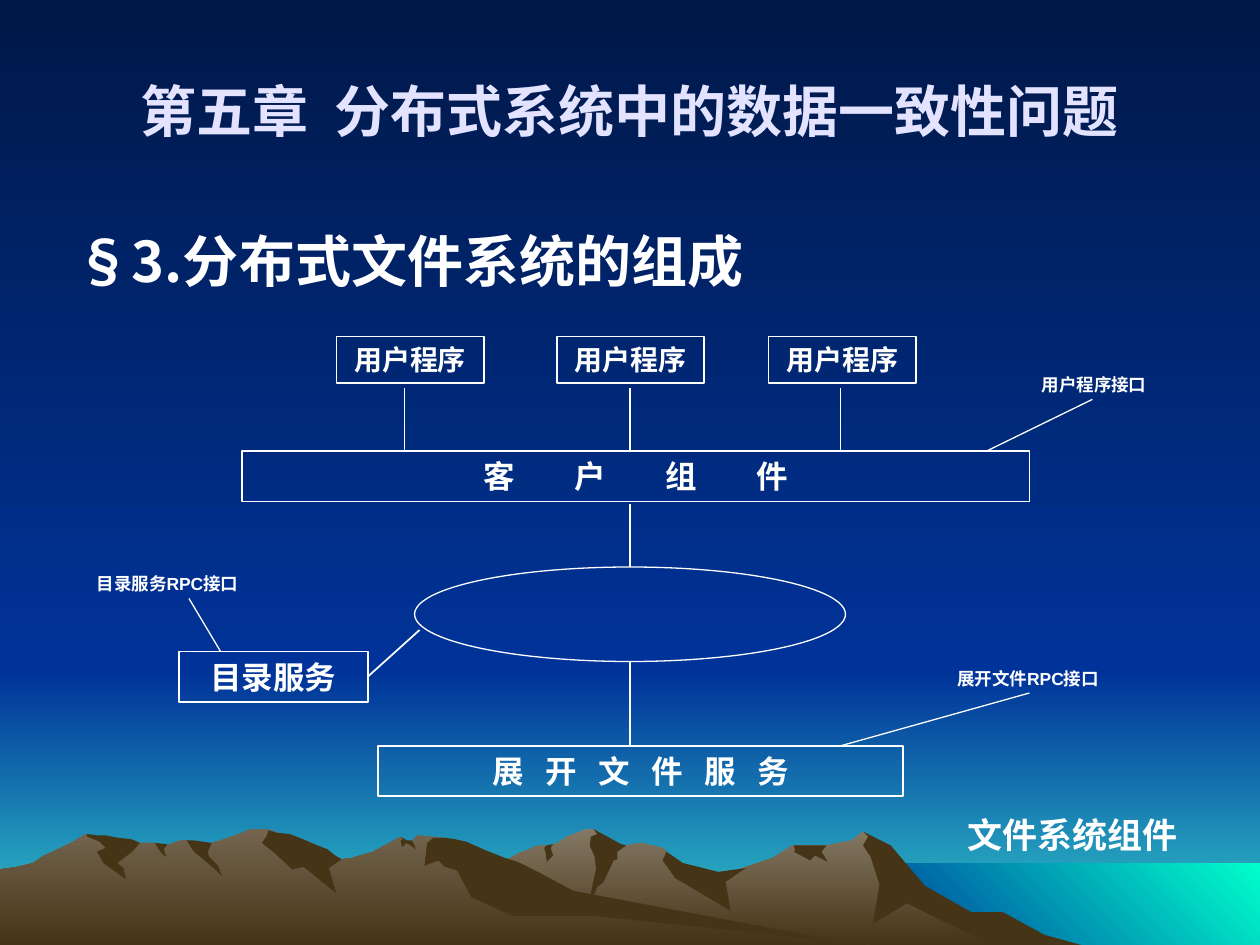
from lxml import etree
from pptx import Presentation
from pptx.dml.color import RGBColor
from pptx.enum.shapes import MSO_CONNECTOR, MSO_SHAPE
from pptx.enum.text import MSO_ANCHOR, PP_ALIGN
from pptx.oxml.ns import qn
from pptx.util import Inches, Pt

HEADING_FONT = "Noto Sans CJK SC"
LABEL_FONT = "Arial"
WHITE, TITLE_COLOUR = "FFFFFF", "E3E3FF"
NIGHT, BLUE, TEAL, GREEN = "001847", "003399", "33CCCC", "00FFCC"
ROCK_LIGHT, ROCK_MID, ROCK_DARK = "847864", "73654F", "463416"

# Outlines in hundredths of an inch: x y x y ...
RIGHT_RANGE = """802 740 778 727 764 723 723 698 702 671 685 660 676 667 656 671 629 671
    613 681 566 697 536 690 529 676 526 673 509 669 497 671 486 673 474 661 471 658 465 658
    450 664 444 668 438 671 430 671 424 672 418 675 412 677 405 681 399 683 394 685 355 698
    327 709 277 739 258 750 820 750"""
LEFT_RANGE = """690 750 667 748 432 712 354 665 331 663 327 668 323 668 318 664 296 676
    279 681 271 682 260 676 236 681 223 663 219 660 212 658 198 658 194 660 189 662 178 666
    168 669 160 671 148 667 143 667 132 671 128 671 123 669 111 669 94 671 68 662 56 669
    46 674 35 679 26 685 14 688 0 690 0 750"""
RIGHT_SHADOWS = [
    """796 724 771 724 734 703 707 671 685 660 689 664 685 671 691 680 698 702 693 733
    720 717 787 750 858 750 829 742""",
    """471 658 474 662 469 664 468 671 472 680 473 690 465 727 474 704 479 700 487 683
    490 682 490 676 497 671 493 670""",
    "529 676 526 683 536 697 580 723 576 700 592 689 570 692 542 685",
    "650 671 630 671 631 675 630 676 643 683 647 679 657 684 652 676 656 671",
    "433 677 432 673 434 671 439 670 437 673 439 679 434 684",
]
LEFT_SHADOWS = [
    """212 663 208 669 219 678 232 690 241 688 267 709 261 689 271 682 266 679 260 674
    252 671 238 665 230 662 220 661 213 659""",
    """370 668 361 666 354 665 344 665 339 669 337 687 348 683 353 688 363 691 374 712
    407 727 472 727 690 750 683 750 455 707 427 692 411 684 401 681 386 675""",
    """318 667 320 666 318 664 323 667 327 667 329 671 330 674 326 671 322 669 321 671
    319 672""",
    "154 667 161 668 168 669 165 676 166 680 173 687 176 695 165 685 154 676 148 667",
    "133 670 130 674 132 680 129 678 126 674 123 669",
    """109 668 111 669 105 676 93 685 98 689 100 698 82 685 77 676 84 673 79 668 69 664
    69 662 77 663 84 663 94 665 104 666""",
]


def colour(code):
    return RGBColor.from_string(code)


def paint(fill, colours, angle=270):
    """One colour gives a solid fill, two give a gradient."""
    if len(colours) == 1:
        fill.solid()
        fill.fore_color.rgb = colour(colours[0])
        return
    fill.gradient()
    fill.gradient_angle = angle
    for stop, code in zip(fill.gradient_stops, colours):
        stop.color.rgb = colour(code)


def place(shape, box):
    shape.left, shape.top, shape.width, shape.height = (Inches(side) for side in box)


def add_outline(slide, outline, colours, angle=270):
    numbers = [Inches(int(number) / 100) for number in outline.split()]
    points = list(zip(numbers[::2], numbers[1::2]))
    builder = slide.shapes.build_freeform(*points[0], scale=1.0)
    builder.add_line_segments(points[1:], close=True)
    shape = builder.convert_to_shape()
    paint(shape.fill, colours, angle)
    shape.line.fill.background()
    shape.shadow.inherit = False


def add_area(slide, box, colours, angle=270):
    left, top, right, bottom = box
    corners = (left, top, right, top, right, bottom, left, bottom)
    add_outline(slide, " ".join(str(number) for number in corners), colours, angle)


def write(shape, pieces, size, font, code=WHITE, align=PP_ALIGN.LEFT):
    """Pieces are (text, extra letter spacing in points)."""
    para = shape.text_frame.paragraphs[0]
    para.alignment = align
    para.space_before = Pt(0)
    for text, gap in pieces:
        span = para.add_run()
        span.text = text
        span.font.size, span.font.bold, span.font.name = Pt(size), True, font
        span.font.color.rgb = colour(code)
        properties = span.font._element
        if gap:
            properties.set("spc", str(round(gap * 100)))
        east_asian = etree.Element(qn("a:ea"), typeface=HEADING_FONT)
        properties.find(qn("a:latin")).addnext(east_asian)
    return para


def add_scenery(slide):
    # Sky, horizon and water
    paint(slide.background.fill, (NIGHT, BLUE))
    add_area(slide, (0, 533, 1000, 750), (BLUE, TEAL))
    add_area(slide, (0, 0, 1000, 533), (NIGHT, BLUE))
    add_area(slide, (683, 685, 1000, 750), (BLUE, GREEN), angle=45)
    # Mountains
    for ridge, light, shadows in ((RIGHT_RANGE, ROCK_LIGHT, RIGHT_SHADOWS),
                                  (LEFT_RANGE, ROCK_MID, LEFT_SHADOWS)):
        add_outline(slide, ridge, (light, ROCK_DARK))
        for shadow in shadows:
            add_outline(slide, shadow, (ROCK_DARK,))


def add_headings(slide, title_box, body_box):
    title, body = slide.shapes.title, slide.placeholders[1]
    for holder, box in ((title, title_box), (body, body_box)):
        place(holder, box)
        holder.element.getparent().append(holder.element)  # in front of the scenery
    title.text_frame.vertical_anchor = MSO_ANCHOR.MIDDLE
    write(title, [("第五章", 0), (" ", 7), ("分布式系统中的数据一致性问题", 0)],
          32, HEADING_FONT, TITLE_COLOUR, PP_ALIGN.CENTER)
    para = write(body, [("§3.分布式文件系统的组成", 0)], 32, HEADING_FONT)
    properties = para._p.get_or_add_pPr()
    properties.set("marL", str(Inches(0.38)))
    properties.set("indent", str(Inches(-0.38)))
    etree.SubElement(properties, qn("a:buNone"))


def add_node(slide, box, text="", size=18, gap=0, kind=MSO_SHAPE.RECTANGLE, weight=1):
    node = slide.shapes.add_shape(kind, *(Inches(side) for side in box))
    node.shadow.inherit = False
    node.fill.background()
    node.line.color.rgb = colour(WHITE)
    node.line.width = Pt(weight)
    node.text_frame.vertical_anchor = MSO_ANCHOR.MIDDLE
    if text:
        pieces = [(text[:-1], gap), (text[-1], 0)] if gap else [(text, 0)]
        write(node, pieces, size, LABEL_FONT, align=PP_ALIGN.CENTER)
    return node


def add_label(slide, box, text, size=10):
    label = slide.shapes.add_textbox(*(Inches(side) for side in box))
    label.text_frame.word_wrap = True
    label.text_frame.vertical_anchor = MSO_ANCHOR.MIDDLE
    write(label, [(text, 0)], size, LABEL_FONT)


def add_link(slide, ends, weight=0.75):
    link = slide.shapes.add_connector(MSO_CONNECTOR.STRAIGHT, *(Inches(end) for end in ends))
    link.line.color.rgb = colour(WHITE)
    link.line.width = Pt(weight)
    etree.SubElement(link._element.spPr, qn("a:effectLst"))
    return link


def add_diagram(slide, box):
    left, top, width, height = box
    right = left + width

    # User programs and their links to the client component
    for node_left, link_x in ((2.67, 3.21), (4.42, 5), (6.1, 6.67)):
        add_node(slide, (node_left, top, 1.17, 0.37), "用户程序", size=16)
        add_link(slide, (link_x, top + 0.41, link_x, top + 0.91))

    # Components and the network between them
    add_node(slide, (left + 1.25, top + 0.91, 6.25, 0.4), "客户组件", gap=34)
    add_node(slide, (3.29, top + 1.83, 3.42, 0.75), kind=MSO_SHAPE.OVAL, weight=0.75)
    add_node(slide, (3, top + 3.25, 4.17, 0.4), "展开文件服务", gap=12.3)
    directory = add_node(slide, (left + 0.75, top + 2.5, 1.5, 0.4), "目录服务")
    add_link(slide, (5, top + 1.33, 5, top + 1.83), weight=1)
    add_link(slide, (5, top + 2.58, 5, top + 3.25), weight=1)
    add_link(slide, (2.92, 5.37, 3.33, 5), weight=1).begin_connect(directory, 3)

    # Interface labels with their pointers
    for label_box, text, pointer in (
            ((left, 4.5, 1.75, 0.27), "目录服务RPC接口", (1.5, 4.75, 1.75, 5.17)),
            ((right - 1.58, 2.92, 1.58, 0.27), "用户程序接口", (8.67, 3.17, 7.83, 3.58)),
            ((7.5, 5.25, 2, 0.27), "展开文件RPC接口", (8.17, 5.5, 6.67, 5.92))):
        add_label(slide, label_box, text)
        add_link(slide, pointer)

    # Caption
    add_label(slide, (7.58, top + height - 0.44, 2, 0.44), "文件系统组件", size=20)


def main():
    deck = Presentation()
    deck.slide_width, deck.slide_height = Inches(10), Inches(7.5)
    slide = deck.slides.add_slide(deck.slide_layouts[1])
    add_scenery(slide)
    add_headings(slide, (0.5, 0.25, 9, 1.25), (0.5, 1.75, 9, 4.92))
    add_diagram(slide, (0.67, 2.67, 9.08, 4.17))
    deck.save("out.pptx")


if __name__ == "__main__":
    main()
